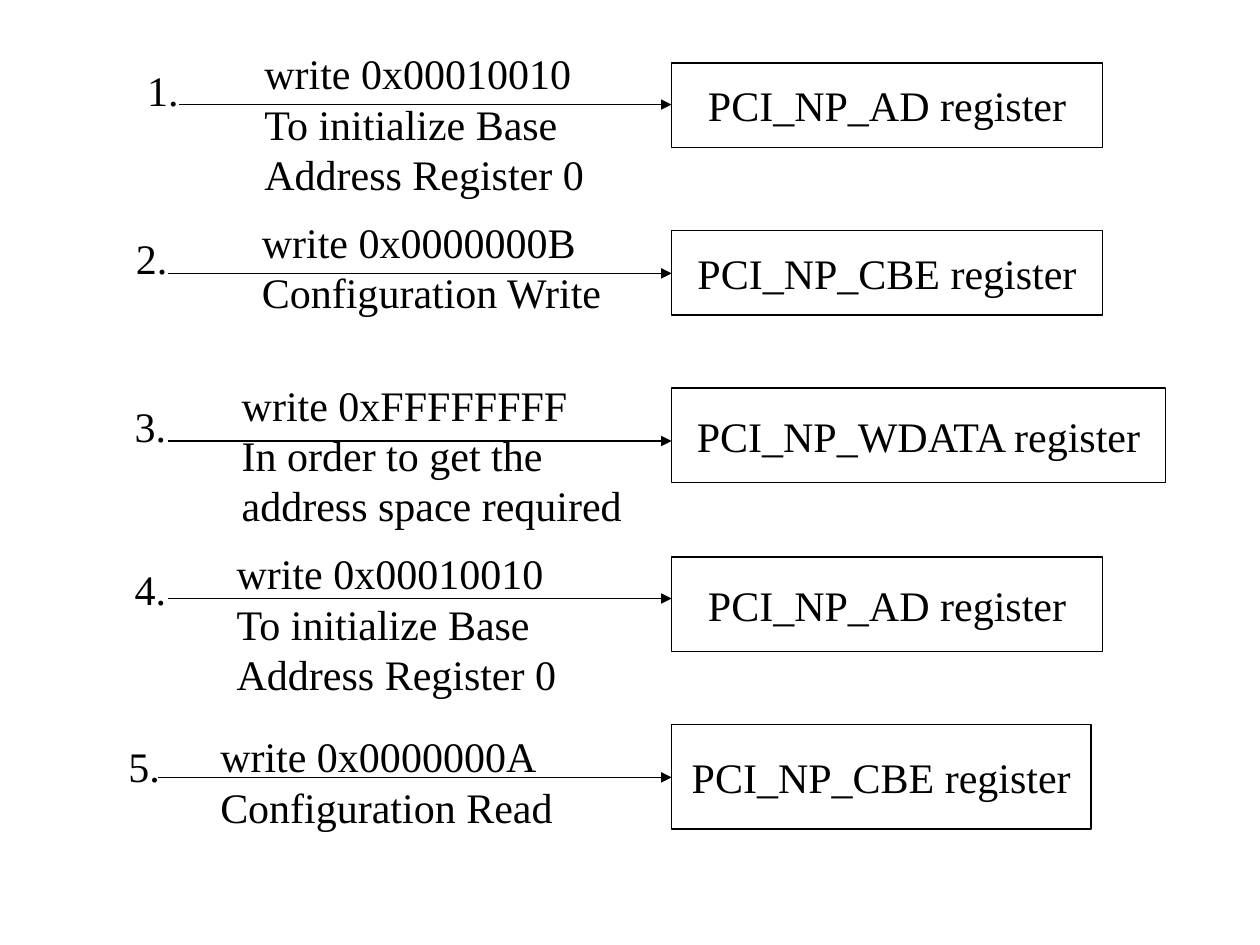
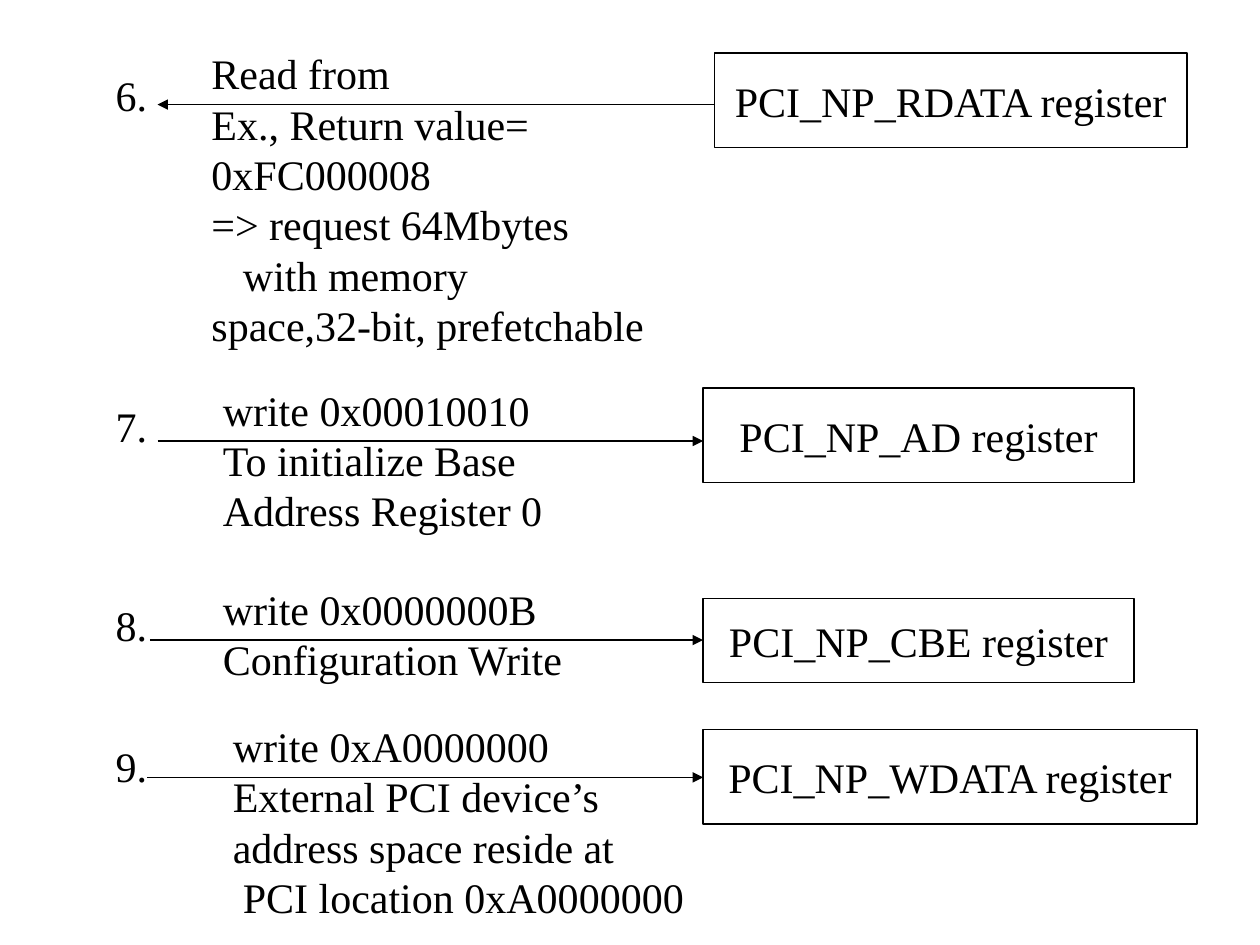
import dataclasses

import pptx
import pptx.dml.color
import pptx.enum.shapes
import pptx.enum.text
import pptx.oxml.ns
import pptx.util
from lxml import etree

Inches = pptx.util.Inches
BLACK = pptx.dml.color.RGBColor(0x00, 0x00, 0x00)
FONT_NAME = "Times New Roman"
FONT_SIZE = pptx.util.Pt(24)
LINE_WIDTH = pptx.util.Pt(0.75)
LINE_HEIGHT = 0.4
TEXT_PADDING = 0.1
NUMBER_WIDTH = 0.45

INITIALIZE_BASE = ["write 0x00010010", "To initialize Base", "Address Register 0"]
CONFIGURATION_WRITE = ["write 0x0000000B", "Configuration Write"]
REQUEST_SPACE = ["write 0xFFFFFFFF", "In order to get the", "address space required"]
CONFIGURATION_READ = ["write 0x0000000A", "Configuration Read"]
READ_RESULT = ["Read from", "Ex., Return value=", "0xFC000008",
               "=> request 64Mbytes", "with memory", "space,32-bit, prefetchable"]
PLACE_DEVICE = ["write 0xA0000000", "External PCI device’s",
                "address space reside at", "PCI location 0xA0000000"]
LINE_INDENTS = {"with memory": 0.25, "PCI location 0xA0000000": 0.08}


@dataclasses.dataclass
class Step:
    number: str
    number_position: tuple
    note: list
    note_position: tuple
    note_width: float
    arrow_start: float
    arrow_y: float
    register: str
    register_box: tuple
    reads: bool = False


WRITE_STEPS = [
    Step("1.", (1.07, 0.46), INITIALIZE_BASE, (2, 0.33), 2.8,
         1.42, 0.83, "AD", (5.33, 0.5, 3.42, 0.67)),
    Step("2.", (0.98, 1.8), CONFIGURATION_WRITE, (1.98, 1.67), 2.95,
         1.33, 2.17, "CBE", (5.33, 1.83, 3.42, 0.67)),
    Step("3.", (0.97, 3.13), REQUEST_SPACE, (1.82, 2.96), 3.25,
         1.33, 3.5, "WDATA", (5.33, 3.08, 3.92, 0.75)),
    Step("4.", (0.97, 4.42), INITIALIZE_BASE, (1.78, 4.3), 2.8,
         1.33, 4.75, "AD", (5.33, 4.42, 3.42, 0.75)),
    Step("5.", (0.92, 5.83), CONFIGURATION_READ, (1.65, 5.75), 2.9,
         1.25, 6.17, "CBE", (5.33, 5.75, 3.33, 0.83)),
]
READ_AND_PLACE_STEPS = [
    Step("6.", (0.82, 0.5), READ_RESULT, (1.58, 0.33), 3.67,
         1.25, 0.83, "RDATA", (5.67, 0.42, 3.75, 0.75), reads=True),
    Step("7.", (0.82, 3.13), INITIALIZE_BASE, (1.67, 3), 2.8,
         1.25, 3.5, "AD", (5.58, 3.08, 3.42, 0.75)),
    Step("8.", (0.82, 4.71), CONFIGURATION_WRITE, (1.67, 4.58), 2.95,
         1.19, 5.08, "CBE", (5.58, 4.75, 3.42, 0.67)),
    Step("9.", (0.82, 5.83), PLACE_DEVICE, (1.75, 5.67), 3.8,
         1.17, 6.17, "WDATA", (5.58, 5.79, 3.92, 0.75)),
]


def format_text(text_frame, alignment):
    for paragraph in text_frame.paragraphs:
        paragraph.alignment = alignment
        for run in paragraph.runs:
            run.font.name = FONT_NAME
            run.font.size = FONT_SIZE
            run.font.color.rgb = BLACK


def add_text(slide, position, width, lines):
    height = TEXT_PADDING + LINE_HEIGHT * len(lines)
    left, top = position
    shape = slide.shapes.add_textbox(Inches(left), Inches(top), Inches(width), Inches(height))
    text_frame = shape.text_frame
    text_frame.text = "\n".join(lines)
    text_frame.word_wrap = True
    text_frame.auto_size = pptx.enum.text.MSO_AUTO_SIZE.SHAPE_TO_FIT_TEXT
    format_text(text_frame, pptx.enum.text.PP_ALIGN.LEFT)
    for paragraph in text_frame.paragraphs:
        if paragraph.text in LINE_INDENTS:
            properties = paragraph._p.get_or_add_pPr()
            properties.set("marL", str(Inches(LINE_INDENTS[paragraph.text])))
            properties.set("indent", "0")


def add_register(slide, name, box):
    shape = slide.shapes.add_shape(
        pptx.enum.shapes.MSO_SHAPE.RECTANGLE, *(Inches(length) for length in box))
    shape.shadow.inherit = False
    shape.fill.background()
    shape.line.color.rgb = BLACK
    shape.line.width = LINE_WIDTH
    text_frame = shape.text_frame
    text_frame.text = f"PCI_NP_{name} register"
    text_frame.word_wrap = False
    text_frame.vertical_anchor = pptx.enum.text.MSO_ANCHOR.MIDDLE
    format_text(text_frame, pptx.enum.text.PP_ALIGN.CENTER)


def add_arrow(slide, start, end, y):
    connector = slide.shapes.add_connector(
        pptx.enum.shapes.MSO_CONNECTOR.STRAIGHT,
        Inches(start), Inches(y), Inches(end), Inches(y))
    connector.line.color.rgb = BLACK
    connector.line.width = LINE_WIDTH
    line = connector.line._get_or_add_ln()
    etree.SubElement(line, pptx.oxml.ns.qn("a:tailEnd"), type="triangle")
    etree.SubElement(connector._element.spPr, pptx.oxml.ns.qn("a:effectLst"))


def add_step(slide, step):
    add_text(slide, step.number_position, NUMBER_WIDTH, [step.number])
    add_text(slide, step.note_position, step.note_width, step.note)
    add_register(slide, step.register, step.register_box)
    start, end = step.arrow_start, step.register_box[0]
    if step.reads:
        start, end = end, start
    add_arrow(slide, start, end, step.arrow_y)


def main():
    presentation = pptx.Presentation()
    presentation.slide_width = Inches(10)
    presentation.slide_height = Inches(7.5)
    blank_layout = presentation.slide_layouts[6]
    for steps in (WRITE_STEPS, READ_AND_PLACE_STEPS):
        slide = presentation.slides.add_slide(blank_layout)
        for step in steps:
            add_step(slide, step)
    presentation.save("out.pptx")


if __name__ == "__main__":
    main()
